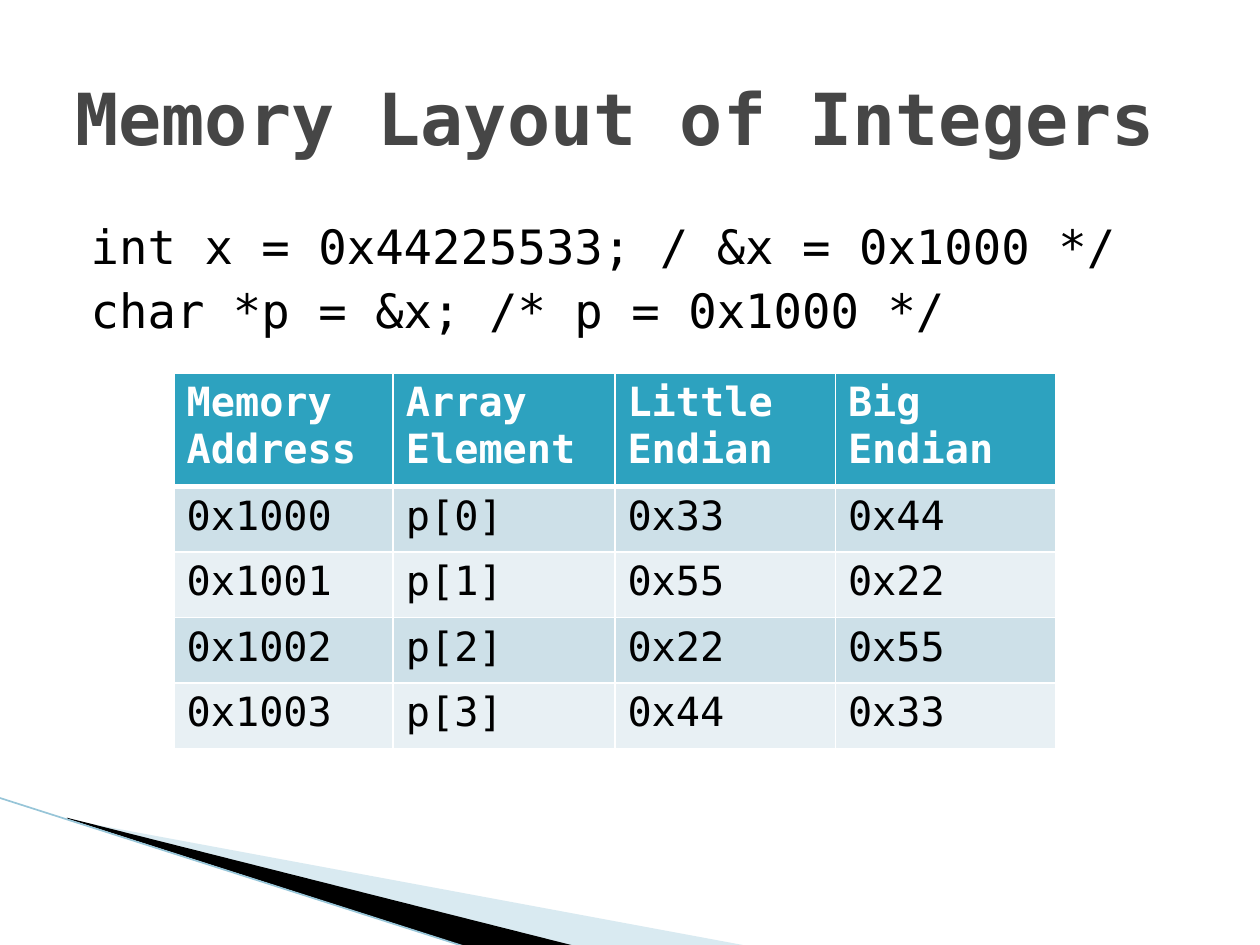
from dataclasses import dataclass

from lxml import etree
from pptx import Presentation
from pptx.dml.color import RGBColor
from pptx.enum import shapes, text
from pptx.oxml import ns
from pptx.util import Pt


@dataclass(frozen=True)
class Theme:
    font: str = "DejaVu Sans Mono"
    title_size: float = 41
    body_size: float = 27
    table_size: float = 23
    title: str = "464646"
    ink: str = "000000"
    white: str = "FFFFFF"
    header: str = "2DA2BF"
    bands: tuple = ("CDE0E8", "E8F0F4")
    wedge: str = "A0CBDC"
    edge: str = "97C5D8"


@dataclass(frozen=True)
class Wedge:
    points: tuple
    color: str
    opacity: int = 100


@dataclass(frozen=True)
class TextBlock:
    lines: tuple
    box: tuple
    size: float
    color: str
    bold: bool = False
    anchor: text.MSO_ANCHOR = text.MSO_ANCHOR.TOP
    indent: float = 0
    top_inset: float = 3.6
    space_before: float = 0


THEME = Theme()

WEDGES = (
    Wedge(((39.6, 468.5), (428.4, 540.7), (328.3, 540.7), (39.6, 468)), THEME.wedge, 40),
    Wedge(((38.2, 467.3), (329, 540.7), (267.8, 541.4), (38.9, 468)), THEME.ink),
)
TEXT_BLOCKS = (
    TextBlock(("int x = 0x44225533; / &x = 0x1000 */", "char *p = &x; /* p = 0x1000 */"),
              (36, 116.6, 648, 356.4), THEME.body_size, THEME.ink,
              indent=8.64, top_inset=7.6, space_before=4),
    TextBlock(("Memory Layout of Integers",), (36, 21.6, 648, 90),
              THEME.title_size, THEME.title, True, text.MSO_ANCHOR.MIDDLE),
)
ROWS = (
    ("Memory Address", "Array Element", "Little Endian", "Big Endian"),
    ("0x1000", "p[0]", "0x33", "0x44"),
    ("0x1001", "p[1]", "0x55", "0x22"),
    ("0x1002", "p[2]", "0x22", "0x55"),
    ("0x1003", "p[3]", "0x44", "0x33"),
)
COLUMN_WIDTHS = (125.3, 126.7, 126, 126)
HEADER_HEIGHT, ROW_HEIGHT = 64.8, 37.5


def style_runs(paragraph, size: float, color: str, bold: bool) -> None:
    for run in paragraph.runs:
        run.font.name = THEME.font
        run.font.size = Pt(size)
        run.font.bold = bold
        run.font.color.rgb = RGBColor.from_string(color)


def add_wedge(slide, wedge: Wedge) -> None:
    start, *rest = [(Pt(x), Pt(y)) for x, y in wedge.points]
    builder = slide.shapes.build_freeform(*start)
    builder.add_line_segments(rest, close=True)
    shape = builder.convert_to_shape()
    shape.shadow.inherit = False
    shape.line.fill.background()
    shape.fill.solid()
    shape.fill.fore_color.rgb = RGBColor.from_string(wedge.color)
    if wedge.opacity < 100:
        color = shape._element.spPr.find(".//" + ns.qn("a:srgbClr"))
        etree.SubElement(color, ns.qn("a:alpha"), val=str(wedge.opacity * 1000))


def add_edge(slide) -> None:
    line = slide.shapes.add_connector(
        shapes.MSO_CONNECTOR.STRAIGHT, Pt(-0.7), Pt(455.8), Pt(267.1), Pt(541.4))
    line.line.color.rgb = RGBColor.from_string(THEME.edge)
    line.line.width = Pt(0.95)
    etree.SubElement(line._element.spPr, ns.qn("a:effectLst"))


def add_text(slide, block: TextBlock) -> None:
    frame = slide.shapes.add_textbox(*map(Pt, block.box)).text_frame
    frame.word_wrap = True
    frame.vertical_anchor = block.anchor
    frame.margin_left = Pt(7.2 + block.indent)
    frame.margin_top = Pt(block.top_inset)
    frame.text = "\n".join(block.lines)
    for index, paragraph in enumerate(frame.paragraphs):
        if index:
            paragraph.space_before = Pt(block.space_before)
        style_runs(paragraph, block.size, block.color, block.bold)


def set_borders(cell, top: float, bottom: float) -> None:
    properties = cell._tc.get_or_add_tcPr()
    widths = (("lnL", 1), ("lnR", 1), ("lnT", top), ("lnB", bottom))
    for position, (tag, width) in enumerate(widths):
        border = etree.Element(ns.qn("a:" + tag), w=str(Pt(width)))
        fill = etree.SubElement(border, ns.qn("a:solidFill"))
        etree.SubElement(fill, ns.qn("a:srgbClr"), val=THEME.white)
        properties.insert(position, border)


def add_memory_table(slide) -> None:
    height = HEADER_HEIGHT + ROW_HEIGHT * (len(ROWS) - 1)
    table = slide.shapes.add_table(
        len(ROWS), len(COLUMN_WIDTHS), Pt(99.4), Pt(213.1),
        Pt(sum(COLUMN_WIDTHS)), Pt(height)).table
    for column, width in zip(table.columns, COLUMN_WIDTHS):
        column.width = Pt(width)
    for index, (row, values) in enumerate(zip(table.rows, ROWS)):
        header = index == 0
        row.height = Pt(HEADER_HEIGHT if header else ROW_HEIGHT)
        fill = THEME.header if header else THEME.bands[(index - 1) % 2]
        for cell, value in zip(row.cells, values):
            cell.text = value
            style_runs(cell.text_frame.paragraphs[0], THEME.table_size,
                       THEME.white if header else THEME.ink, header)
            cell.fill.solid()
            cell.fill.fore_color.rgb = RGBColor.from_string(fill)
            set_borders(cell, top=3 if index == 1 else 1, bottom=3 if header else 1)


def main() -> None:
    presentation = Presentation()
    presentation.slide_width, presentation.slide_height = Pt(720), Pt(540)
    slide = presentation.slides.add_slide(presentation.slide_layouts[6])

    # Corner decoration
    for wedge in WEDGES:
        add_wedge(slide, wedge)
    add_edge(slide)

    # Code lines and title
    for block in TEXT_BLOCKS:
        add_text(slide, block)

    # Byte order table
    add_memory_table(slide)
    presentation.save("out.pptx")


if __name__ == "__main__":
    main()
